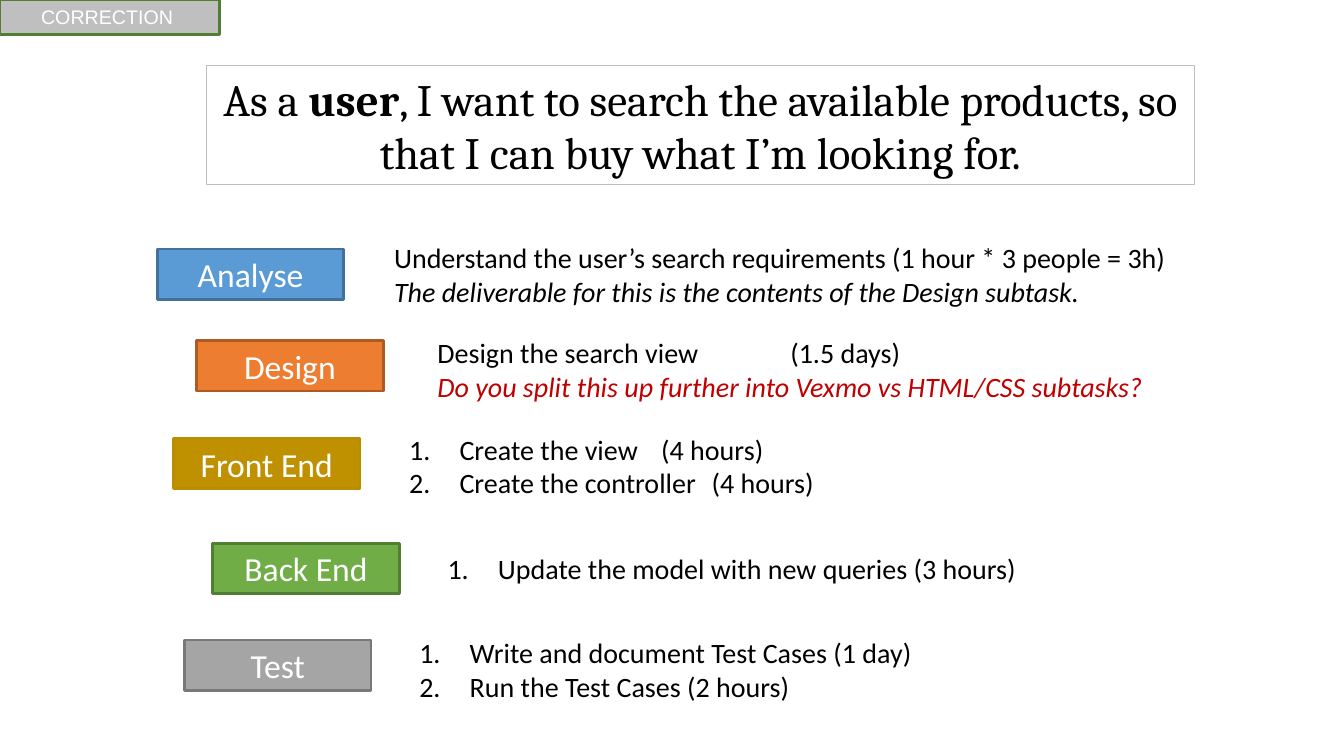
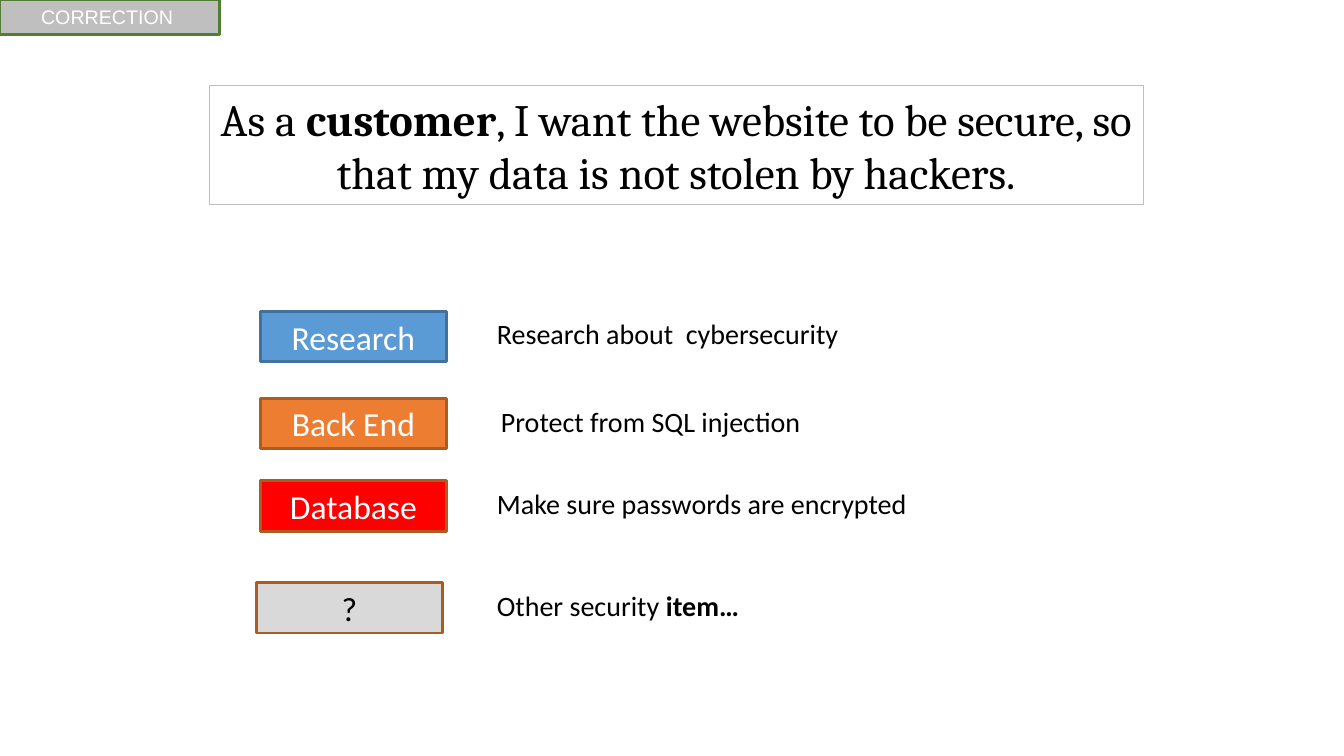
"""Build two user story slides, each broken down into subtasks."""
from dataclasses import dataclass

from lxml.etree import SubElement
from pptx import Presentation
from pptx.dml.color import RGBColor
from pptx.enum.shapes import MSO_SHAPE
from pptx.enum.text import MSO_ANCHOR, MSO_AUTO_SIZE, PP_ALIGN
from pptx.oxml.ns import qn
from pptx.util import Inches, Pt


@dataclass(frozen=True)
class Theme:
    """Colours, fonts and sizes shared by the slides."""
    black: str = "000000"
    white: str = "FFFFFF"
    question: str = "C00000"
    band: str = "BFBFBF"
    band_line: str = "517E33"
    blue: tuple = ("5B9BD5", "42719B")
    orange: tuple = ("ED7D31", "AC5B23")
    gold: tuple = ("BF9000", "BA8C00")
    green: tuple = ("70AD47", "517E33")
    grey: tuple = ("A5A5A5", "787878")
    red: tuple = ("FF0000", "AC5B23")
    pale: tuple = ("D9D9D9", "AC5B23")
    band_font: tuple = ("Arial", 14)
    story_font: tuple = ("Cambria", 32)
    label_font: tuple = ("Calibri", 24)
    detail_font: tuple = ("Calibri", 20)
    thick: float = 2
    thin: float = 0.75


THEME = Theme()
LABEL_SIZE = (1.85, 0.5)
DETAIL_LINE = 0.33
DETAIL_MARGIN = 0.11
NUMBER_INDENT = 0.5


@dataclass(frozen=True)
class Subtask:
    """A coloured label with its details, placed by an offset from the label."""
    label: str
    colors: tuple
    position: tuple
    detail_offset: tuple
    detail_width: float
    details: tuple
    numbered: bool = False
    label_color: str = THEME.white


def bold(text):
    """Return a bold run."""
    return text, {"bold": True}


def italic(text, color=THEME.black):
    """Return an italic run."""
    return text, {"italic": True, "color": color}


def write_runs(paragraph, runs, font, color):
    """Write plain or styled runs into a paragraph."""
    name, size = font
    for item in runs:
        text, style = (item, {}) if isinstance(item, str) else item
        run = paragraph.add_run()
        run.text = text
        run.font.name = name
        run.font.size = Pt(size)
        run.font.bold = style.get("bold", False)
        run.font.italic = style.get("italic", False)
        run.font.color.rgb = RGBColor.from_string(style.get("color", color))


def number_paragraph(paragraph):
    """Give a paragraph automatic numbering with a hanging indent."""
    properties = paragraph._p.get_or_add_pPr()
    properties.set("marL", str(Inches(NUMBER_INDENT)))
    properties.set("indent", str(Inches(-NUMBER_INDENT)))
    SubElement(properties, qn("a:buAutoNum"), type="arabicPeriod")


def add_box(slide, box, fill, line, line_width, runs, font, color):
    """Add an outlined rectangle with centred text."""
    shape = slide.shapes.add_shape(MSO_SHAPE.RECTANGLE, *map(Inches, box))
    shape.shadow.inherit = False
    if fill:
        shape.fill.solid()
        shape.fill.fore_color.rgb = RGBColor.from_string(fill)
    else:
        shape.fill.background()
    shape.line.color.rgb = RGBColor.from_string(line)
    shape.line.width = Pt(line_width)
    frame = shape.text_frame
    frame.word_wrap = True
    frame.vertical_anchor = MSO_ANCHOR.MIDDLE
    paragraph = frame.paragraphs[0]
    paragraph.alignment = PP_ALIGN.CENTER
    write_runs(paragraph, runs, font, color)


def add_details(slide, box, paragraphs, numbered):
    """Add the details of a subtask as plain or numbered paragraphs."""
    frame = slide.shapes.add_textbox(*map(Inches, box)).text_frame
    frame.word_wrap = True
    frame.auto_size = MSO_AUTO_SIZE.SHAPE_TO_FIT_TEXT
    for index, runs in enumerate(paragraphs):
        paragraph = frame.add_paragraph() if index else frame.paragraphs[0]
        write_runs(paragraph, runs, THEME.detail_font, THEME.black)
        if numbered:
            number_paragraph(paragraph)


def add_subtask(slide, subtask):
    """Add a label and the details beside it."""
    left, top = subtask.position
    across, down = subtask.detail_offset
    fill, line = subtask.colors
    add_box(slide, (left, top, *LABEL_SIZE), fill, line, THEME.thick,
            [subtask.label], THEME.label_font, subtask.label_color)
    height = DETAIL_MARGIN + DETAIL_LINE * len(subtask.details)
    add_details(slide, (left + across, top + down, subtask.detail_width, height),
                subtask.details, subtask.numbered)


def add_story_slide(presentation, story_box, story, subtasks):
    """Add a slide with the correction band, a user story and its subtasks."""
    slide = presentation.slides.add_slide(presentation.slide_layouts[6])
    add_box(slide, (0, 0, 2.18, 0.34), THEME.band, THEME.band_line,
            THEME.thick, ["CORRECTION "], THEME.band_font, THEME.white)
    add_box(slide, story_box, None, THEME.band, THEME.thin, story,
            THEME.story_font, THEME.black)
    for subtask in subtasks:
        add_subtask(slide, subtask)


SEARCH_STORY = (
    "As a ", bold("user"),
    ", I want to search the available products, so that I can buy what "
    "I’m looking for.",
)
SEARCH_SUBTASKS = (
    Subtask("Analyse", THEME.blue, (1.56, 2.47), (2.25, -0.13), 8.42, (
        ["Understand the user’s search requirements "
         "(1 hour * 3 people = 3h)"],
        [italic("The deliverable for this is the contents of the Design "
                "subtask.")],
    )),
    Subtask("Design", THEME.orange, (1.95, 3.38), (2.29, -0.1), 7.26, (
        ["Design the search view\t\t(1.5 days)"],
        [italic("Do you split this up further into Vexmo vs HTML/CSS "
                "subtasks?", THEME.question)],
    )),
    Subtask("Front End", THEME.gold, (1.72, 4.35), (2.24, -0.11), 4.3, (
        ["Create the view\t(4 hours)"],
        ["Create the controller\t(4 hours)"],
    ), numbered=True),
    Subtask("Back End", THEME.green, (2.11, 5.39), (2.23, 0.03), 6.09, (
        ["Update the model with new queries (3 hours)"],
    ), numbered=True),
    Subtask("Test", THEME.grey, (1.83, 6.35), (2.23, -0.09), 7.02, (
        ["Write and document Test Cases (1 day)"],
        ["Run the Test Cases (2 hours)"],
    ), numbered=True),
)

SECURITY_STORY = (
    "As a ", bold("customer"),
    ", I want the website to be secure, so that my data is not stolen by "
    "hackers.",
)
SECURITY_SUBTASKS = (
    Subtask("Research", THEME.blue, (2.58, 3.09), (2.25, 0), 4.57,
            (["Research about  cybersecurity"],)),
    Subtask("Back End", THEME.orange, (2.58, 3.95), (2.29, 0.01), 4.46,
            (["Protect from SQL injection"],)),
    Subtask("Database", THEME.red, (2.58, 4.77), (2.25, 0.01), 4.46,
            (["Make sure passwords are encrypted"],)),
    Subtask("?", THEME.pale, (2.54, 5.78), (2.29, 0.01), 4.46,
            (["Other security", bold(" item…")],),
            label_color=THEME.black),
)


def main():
    """Build and save the presentation."""
    presentation = Presentation()
    presentation.slide_width = Inches(13.33)
    presentation.slide_height = Inches(7.5)
    add_story_slide(presentation, (2.05, 0.65, 9.8, 1.18), SEARCH_STORY,
                    SEARCH_SUBTASKS)
    add_story_slide(presentation, (2.08, 0.85, 9.26, 1.18), SECURITY_STORY,
                    SECURITY_SUBTASKS)
    presentation.save("out.pptx")


if __name__ == "__main__":
    main()
